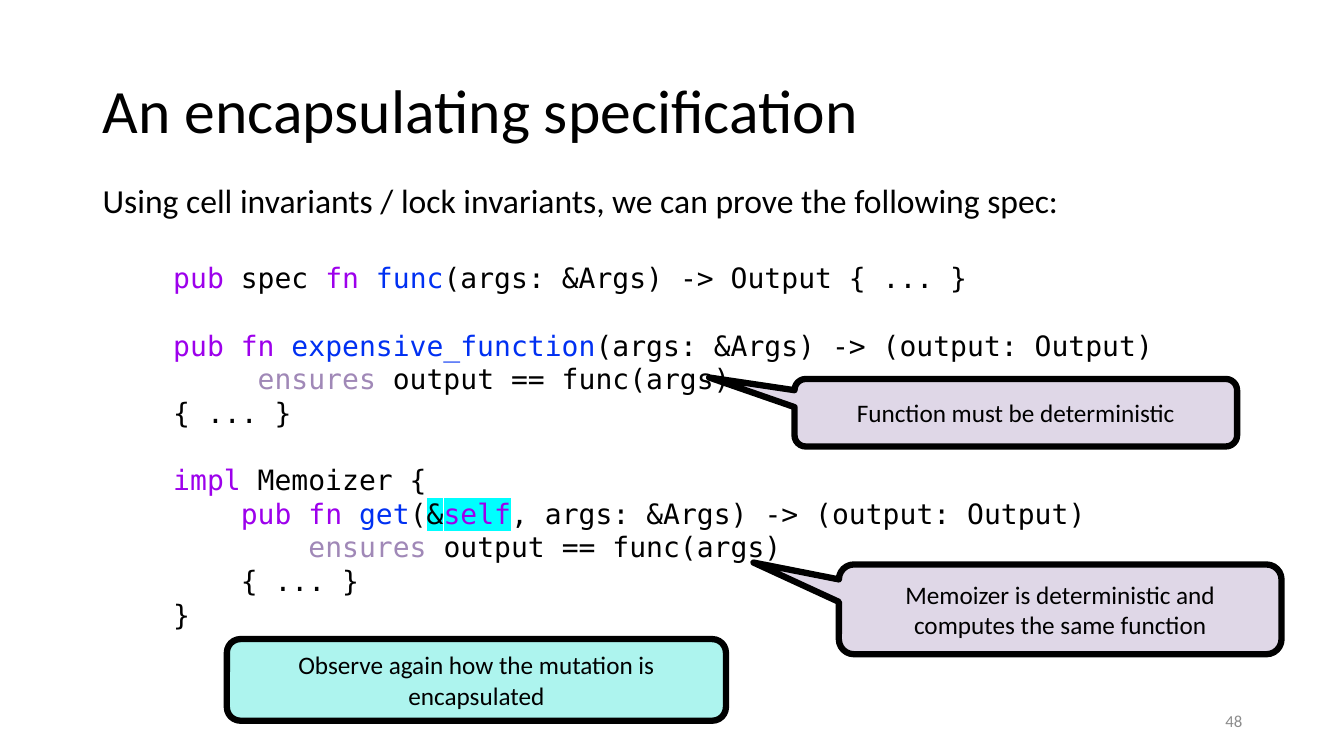
"""Build the slide on an encapsulating specification for a memoizer."""
from dataclasses import dataclass

from lxml import etree
from pptx import Presentation
from pptx.dml.color import RGBColor
from pptx.enum.shapes import MSO_SHAPE
from pptx.enum.text import MSO_ANCHOR, MSO_AUTO_SIZE, PP_ALIGN
from pptx.oxml.ns import qn
from pptx.slide import Slide
from pptx.text.text import TextFrame, _Paragraph, _Run
from pptx.util import Inches, Pt

CALLOUT = MSO_SHAPE.ROUNDED_RECTANGULAR_CALLOUT
ROUNDED = MSO_SHAPE.ROUNDED_RECTANGLE
MIDDLE, TOP = MSO_ANCHOR.MIDDLE, MSO_ANCHOR.TOP
LEFT, CENTER, RIGHT = PP_ALIGN.LEFT, PP_ALIGN.CENTER, PP_ALIGN.RIGHT
NO_AUTOFIT = MSO_AUTO_SIZE.NONE

BLACK = RGBColor(0x00, 0x00, 0x00)
GRAY = RGBColor(0x8C, 0x8C, 0x8C)
KEYWORD = RGBColor(0x9D, 0x00, 0xEC)
FUNCTION = RGBColor(0x00, 0x30, 0xF2)
CLAUSE = RGBColor(0xA0, 0x88, 0xB7)
CYAN = RGBColor(0x00, 0xFF, 0xFF)
LAVENDER = RGBColor(0xDF, 0xD7, 0xE7)
AQUA = RGBColor(0xAD, 0xF4, 0xEE)

BODY_FONT = "Calibri"
CODE_FONT = "DejaVu Sans Mono"
CODE_SIZE = 20
CODE_BLOCK_GAP = Pt(24)


@dataclass(frozen=True)
class Box:
    left: float
    top: float
    width: float
    height: float


@dataclass(frozen=True)
class Token:
    text: str
    color: RGBColor = BLACK
    highlighted: bool = False


@dataclass(frozen=True)
class Note:
    text: str
    box: Box
    fill: RGBColor
    kind: MSO_SHAPE
    adjustments: tuple[float, ...] = ()


POINTER = (-0.693, -0.522, 0.167)
NOTES = (
    Note("Function must be deterministic", Box(7.88, 3.76, 4.39, 0.67), LAVENDER, CALLOUT, POINTER),
    Note("Memoizer is deterministic and computes the same function",
         Box(8.32, 5.6, 4.39, 0.89), LAVENDER, CALLOUT, POINTER),
    Note("Observe again how the mutation is encapsulated", Box(2.25, 6.34, 4.95, 0.81), AQUA, ROUNDED),
)

ENSURES = (Token("ensures", CLAUSE), Token(" output == func(args)"))
CODE_BLOCKS = (
    (
        (Token("pub", KEYWORD), Token(" spec "), Token("fn ", KEYWORD), Token("func", FUNCTION),
         Token("(args: &Args) -> Output { ... }")),
    ),
    (
        (Token("pub fn ", KEYWORD), Token("expensive_function", FUNCTION),
         Token("(args: &Args) -> (output: Output)")),
        (Token("     "), *ENSURES),
        (Token("{ ... }"),),
    ),
    (
        (Token("impl ", KEYWORD), Token("Memoizer {")),
        (Token("    "), Token("pub fn ", KEYWORD), Token("get", FUNCTION), Token("("),
         Token("&", BLACK, True), Token("self", KEYWORD, True),
         Token(", args: &Args) -> (output: Output)")),
        (Token("        "), *ENSURES),
        (Token("    { ... }"),),
        (Token("}"),),
    ),
)


def inches(box: Box) -> tuple[Inches, Inches, Inches, Inches]:
    return Inches(box.left), Inches(box.top), Inches(box.width), Inches(box.height)


def set_font(paragraph: _Paragraph, size: float, name: str = BODY_FONT, color: RGBColor = BLACK) -> None:
    paragraph.font.size = Pt(size)
    paragraph.font.name = name
    paragraph.font.color.rgb = color


def write_text(frame: TextFrame, text: str, size: float, alignment: PP_ALIGN = LEFT,
               anchor: MSO_ANCHOR = MIDDLE, color: RGBColor = BLACK) -> None:
    frame.word_wrap = True
    frame.auto_size = NO_AUTOFIT
    frame.vertical_anchor = anchor
    paragraph = frame.paragraphs[0]
    paragraph.text = text
    paragraph.alignment = alignment
    set_font(paragraph, size, color=color)


def highlight(run: _Run, color: RGBColor) -> None:
    properties = run.font._element
    element = etree.SubElement(properties, qn("a:highlight"))
    etree.SubElement(element, qn("a:srgbClr"), val=str(color))


def add_title(slide: Slide) -> None:
    title = slide.shapes.title
    title.left, title.top, title.width, title.height = inches(Box(0.92, 0.4, 10.76, 1.45))
    write_text(title.text_frame, "An encapsulating specification", 44)
    title.text_frame.paragraphs[0].line_spacing = 0.9


def add_code(slide: Slide, box: Box) -> None:
    frame = slide.shapes.add_textbox(*inches(box)).text_frame
    frame.word_wrap = True
    paragraph = frame.paragraphs[0]
    for block_index, block in enumerate(CODE_BLOCKS):
        for line_index, line in enumerate(block):
            if block_index or line_index:
                paragraph = frame.add_paragraph()
            if block_index and line_index == 0:
                paragraph.space_before = CODE_BLOCK_GAP
            set_font(paragraph, CODE_SIZE, CODE_FONT)
            for token in line:
                run = paragraph.add_run()
                run.text = token.text
                if token.color != BLACK:
                    run.font.color.rgb = token.color
                if token.highlighted:
                    highlight(run, CYAN)


def add_note(slide: Slide, note: Note) -> None:
    shape = slide.shapes.add_shape(note.kind, *inches(note.box))
    shape.shadow.inherit = False
    for index, value in enumerate(note.adjustments):
        shape.adjustments[index] = value
    shape.fill.solid()
    shape.fill.fore_color.rgb = note.fill
    shape.line.color.rgb = BLACK
    shape.line.width = Pt(4.5)
    write_text(shape.text_frame, note.text, 18, CENTER)


def main() -> None:
    presentation = Presentation()
    presentation.slide_width = Inches(13.33)
    presentation.slide_height = Inches(7.5)
    slide = presentation.slides.add_slide(presentation.slide_layouts[5])
    add_code(slide, Box(1.62, 2.54, 11.5, 3.8))
    add_title(slide)
    number = slide.shapes.add_textbox(*inches(Box(9.42, 6.95, 3, 0.4)))
    write_text(number.text_frame, "48", 12, RIGHT, color=GRAY)
    for note in NOTES:
        add_note(slide, note)
    introduction = slide.shapes.add_textbox(*inches(Box(0.92, 1.74, 10.02, 0.5)))
    write_text(introduction.text_frame,
               "Using cell invariants / lock invariants, we can prove the following spec:", 24, anchor=TOP)
    presentation.save("out.pptx")


if __name__ == "__main__":
    main()
